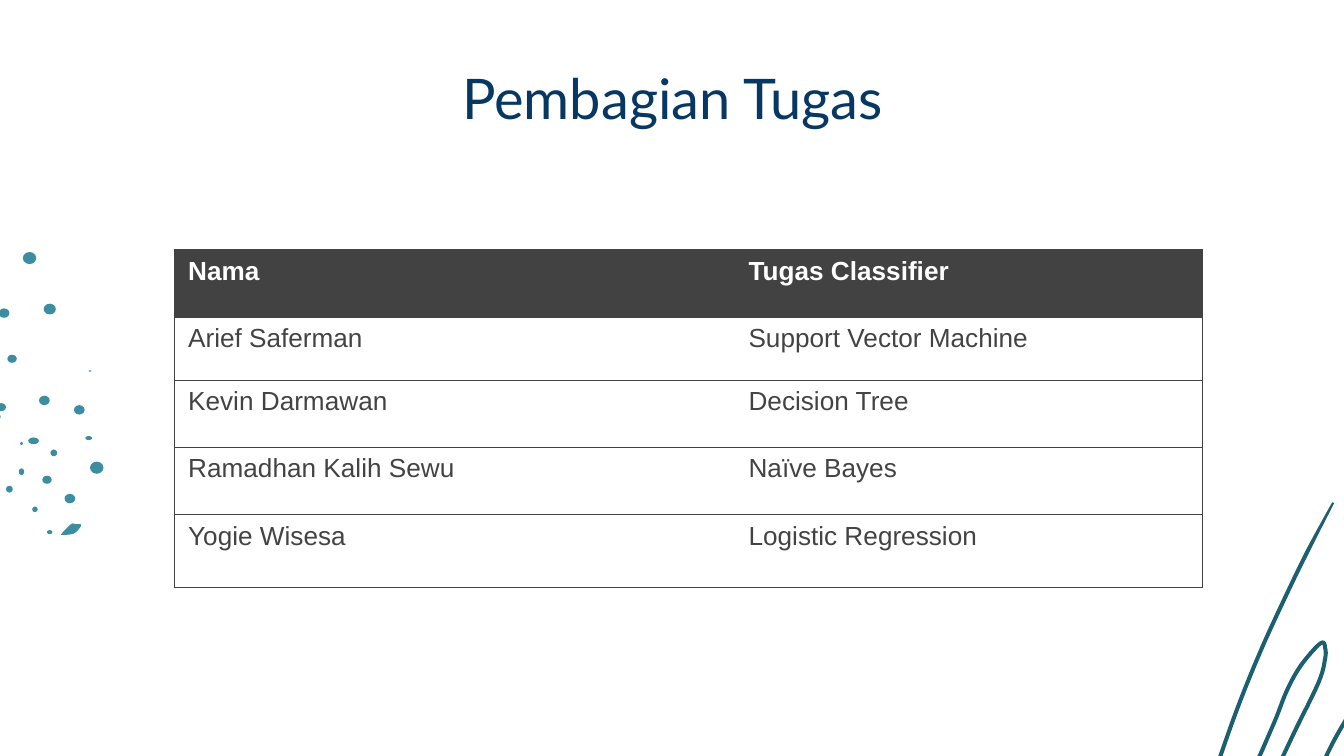
from dataclasses import dataclass
from math import hypot

from lxml import etree
from pptx import Presentation
from pptx.dml.color import RGBColor
from pptx.enum.shapes import MSO_SHAPE
from pptx.enum.text import MSO_ANCHOR, PP_ALIGN
from pptx.oxml.ns import qn
from pptx.util import Inches, Pt

OVAL = MSO_SHAPE.OVAL
MIDDLE = MSO_ANCHOR.MIDDLE
CENTER = PP_ALIGN.CENTER
TITLE_ONLY = 5


@dataclass(frozen=True)
class Theme:
    title_color: str = "073763"
    header_color: str = "424242"
    header_text: str = "FFFFFF"
    body_text: str = "434343"
    dot_color: str = "3C8DA0"
    scribble_color: str = "1C5F6F"
    title_font: str = "Lato"
    body_font: str = "Arial"
    title_size: float = 30
    body_size: float = 14
    border_width: float = 0.75


@dataclass(frozen=True)
class Box:
    left: float
    top: float
    width: float
    height: float

    def emu(self):
        return [Inches(n) for n in (self.left, self.top, self.width, self.height)]


THEME = Theme()
COLUMNS = (4.17, 3.48)
ROW_HEIGHTS = (0.5, 0.47, 0.5, 0.5, 0.54)
ASSIGNMENTS = (
    ("Nama", "Tugas Classifier"),
    ("Arief Saferman", "Support Vector Machine"),
    ("Kevin Darmawan", "Decision Tree"),
    ("Ramadhan Kalih Sewu", "Naïve Bayes"),
    ("Yogie Wisesa", "Logistic Regression"),
)
DOTS = (
    (-0.06, 1.3, 0.13, 0.11), (0.16, 1.5, 0.02, 0.02), (0.16, 1.71, 0.04, 0.05),
    (0.26, 1.99, 0.04, 0.04), (0.37, 2.16, 0.04, 0.03), (0.52, 1.91, 0.08, 0.07),
    (0.35, 1.77, 0.07, 0.06), (0.07, 1.84, 0.05, 0.05), (0.4, 1.57, 0.05, 0.05),
    (0.25, 1.48, 0.08, 0.05), (0.33, 1.18, 0.08, 0.07), (0.01, 1.23, 0.07, 0.06),
    (0.09, 0.87, 0.07, 0.06), (0.03, 0.53, 0.08, 0.07), (0.67, 0.96, 0.02, 0.01),
    (0.59, 1.25, 0.08, 0.07), (0.66, 1.46, 0.05, 0.03), (0.72, 1.68, 0.1, 0.09),
    (0.37, 0.5, 0.09, 0.08), (0.22, 0.12, 0.1, 0.09),
)
LEAF = (
    (0.56, 2.1), (0.53, 2.1), (0.46, 2.17), (0.47, 2.18),
    (0.55, 2.17), (0.6, 2.12), (0.6, 2.1),
)
SCRIBBLE = (
    (0.92, 0.04), (0.73, 0.4), (0.56, 0.75), (0.39, 1.12), (0.23, 1.51),
    (0.1, 1.87), (0.06, 2.01), (0.09, 2.14), (0.18, 2.17), (0.28, 2.09),
    (0.36, 1.95), (0.44, 1.77), (0.5, 1.63), (0.57, 1.45), (0.66, 1.28),
    (0.77, 1.14), (0.84, 1.08), (0.86, 1.12), (0.86, 1.2),
    (0.81, 1.38), (0.63, 1.75), (0.45, 2.13), (0.36, 2.3), (0.3, 2.45),
    (0.32, 2.66), (0.45, 2.68), (0.57, 2.59), (0.66, 2.42), (0.74, 2.22),
    (0.91, 1.84), (1.11, 1.5), (1.27, 1.25), (1.39, 1.18), (1.41, 1.4),
    (1.28, 1.78), (1.11, 2.08), (0.92, 2.42), (0.75, 2.81), (0.73, 2.97),
    (0.81, 3.01), (0.95, 2.88), (1.05, 2.73), (1.22, 2.33), (1.3, 2.1),
    (1.59, 1.59), (1.7, 1.49), (1.81, 1.5), (1.84, 1.64), (1.77, 1.9),
    (1.41, 2.57), (1.2, 2.9), (1.09, 3.17), (1.14, 3.26), (1.3, 3.27),
    (1.43, 3.14), (1.53, 2.95), (1.77, 2.46), (2.02, 1.95),
)


def color(value):
    return RGBColor.from_string(value)


def smooth_curve(points, steps=6):
    padded = [points[0], *points, points[-1]]
    curve = []
    for a, b, c, d in zip(padded, padded[1:], padded[2:], padded[3:]):
        for step in range(steps):
            t = step / steps
            curve.append(tuple(
                q + t * (r - p) / 2
                + t**2 * (2 * p - 5 * q + 4 * r - s) / 2
                + t**3 * (3 * q - p - 3 * r + s) / 2
                for p, q, r, s in zip(a, b, c, d)
            ))
    return [*curve, points[-1]]


def ribbon(points, width):
    curve = smooth_curve(points)
    sides = [], []
    for index, (x, y) in enumerate(curve):
        before = curve[max(index - 1, 0)]
        after = curve[min(index + 1, len(curve) - 1)]
        dx, dy = after[0] - before[0], after[1] - before[1]
        offset = width / 2 * min(1, 0.5 + index / 12) / hypot(dx, dy)
        for side, sign in zip(sides, (1, -1)):
            side.append((x - sign * dy * offset, y + sign * dx * offset))
    return sides[0] + sides[1][::-1]


def paint(shape, fill_color):
    shape.shadow.inherit = False
    shape.fill.solid()
    shape.fill.fore_color.rgb = color(fill_color)
    shape.line.fill.background()


def add_outline(shapes, box, points, fill_color):
    vertices = [(Inches(box.left + x), Inches(box.top + y)) for x, y in points]
    builder = shapes.build_freeform(*vertices[0], scale=1.0)
    builder.add_line_segments(vertices[1:], close=True)
    paint(builder.convert_to_shape(), fill_color)


def add_dots(slide, box):
    group = slide.shapes.add_group_shape()
    add_outline(group.shapes, box, smooth_curve(LEAF), THEME.dot_color)
    for x, y, width, height in DOTS:
        dot = Box(box.left + x - width / 2, box.top + y - height / 2, width, height)
        paint(group.shapes.add_shape(OVAL, *dot.emu()), THEME.dot_color)


def add_scribble(slide, box):
    add_outline(slide.shapes, box, ribbon(SCRIBBLE, 0.03), THEME.scribble_color)


def set_title(slide, box, text):
    title = slide.shapes.title
    title.left, title.top, title.width, title.height = box.emu()
    frame = title.text_frame
    frame.text = text
    frame.word_wrap = True
    frame.vertical_anchor = MIDDLE
    frame.margin_left = frame.margin_right = Inches(0.1)
    frame.margin_top = frame.margin_bottom = Inches(0.1)
    paragraph = frame.paragraphs[0]
    paragraph.alignment = CENTER
    paragraph.font.name = THEME.title_font
    paragraph.font.size = Pt(THEME.title_size)
    paragraph.font.color.rgb = color(THEME.title_color)


def set_borders(cell, visible_sides):
    properties = cell._tc.get_or_add_tcPr()
    for index, side in enumerate("LRTB"):
        line = etree.Element(qn(f"a:ln{side}"), w=str(Pt(THEME.border_width)))
        if side in visible_sides:
            fill = etree.SubElement(line, qn("a:solidFill"))
            etree.SubElement(fill, qn("a:srgbClr"), val=THEME.header_color)
        else:
            etree.SubElement(line, qn("a:noFill"))
        properties.insert(index, line)


def add_assignment_table(slide, box):
    frame = slide.shapes.add_table(len(ASSIGNMENTS), len(COLUMNS), *box.emu())
    table = frame.table
    table.horz_banding = False
    for column, width in zip(table.columns, COLUMNS):
        column.width = Inches(width)
    for row_index, (row, height) in enumerate(zip(table.rows, ROW_HEIGHTS)):
        row.height = Inches(height)
        is_header = row_index == 0
        for cell, text, side in zip(row.cells, ASSIGNMENTS[row_index], "LR"):
            cell.text = text
            if is_header:
                cell.fill.solid()
                cell.fill.fore_color.rgb = color(THEME.header_color)
            else:
                cell.fill.background()
            set_borders(cell, side + "TB")
            font = cell.text_frame.paragraphs[0].font
            font.name = THEME.body_font
            font.size = Pt(THEME.body_size)
            font.bold = is_header
            font.color.rgb = color(THEME.header_text if is_header else THEME.body_text)


def main():
    presentation = Presentation()
    presentation.slide_width = Inches(10)
    presentation.slide_height = presentation.slide_width * 9 // 16
    slide = presentation.slides.add_slide(presentation.slide_layouts[TITLE_ONLY])
    add_dots(slide, Box(0, 1.8, 0.8, 2.2))
    add_scribble(slide, Box(9, 3.7, 2.1, 3.3))
    set_title(slide, Box(0.81, 0.41, 8.39, 0.63), "Pembagian Tugas")
    add_assignment_table(slide, Box(1.3, 1.86, sum(COLUMNS), sum(ROW_HEIGHTS)))
    presentation.save("out.pptx")


if __name__ == "__main__":
    main()
